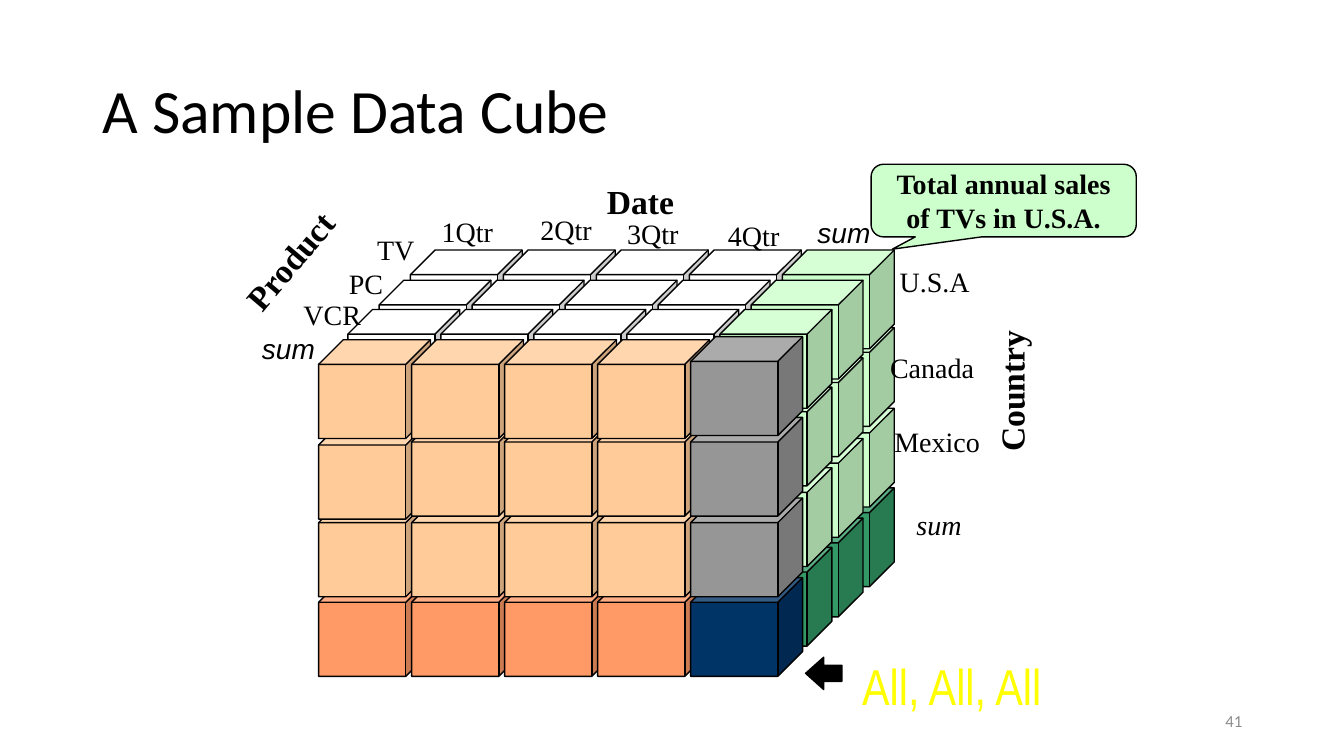
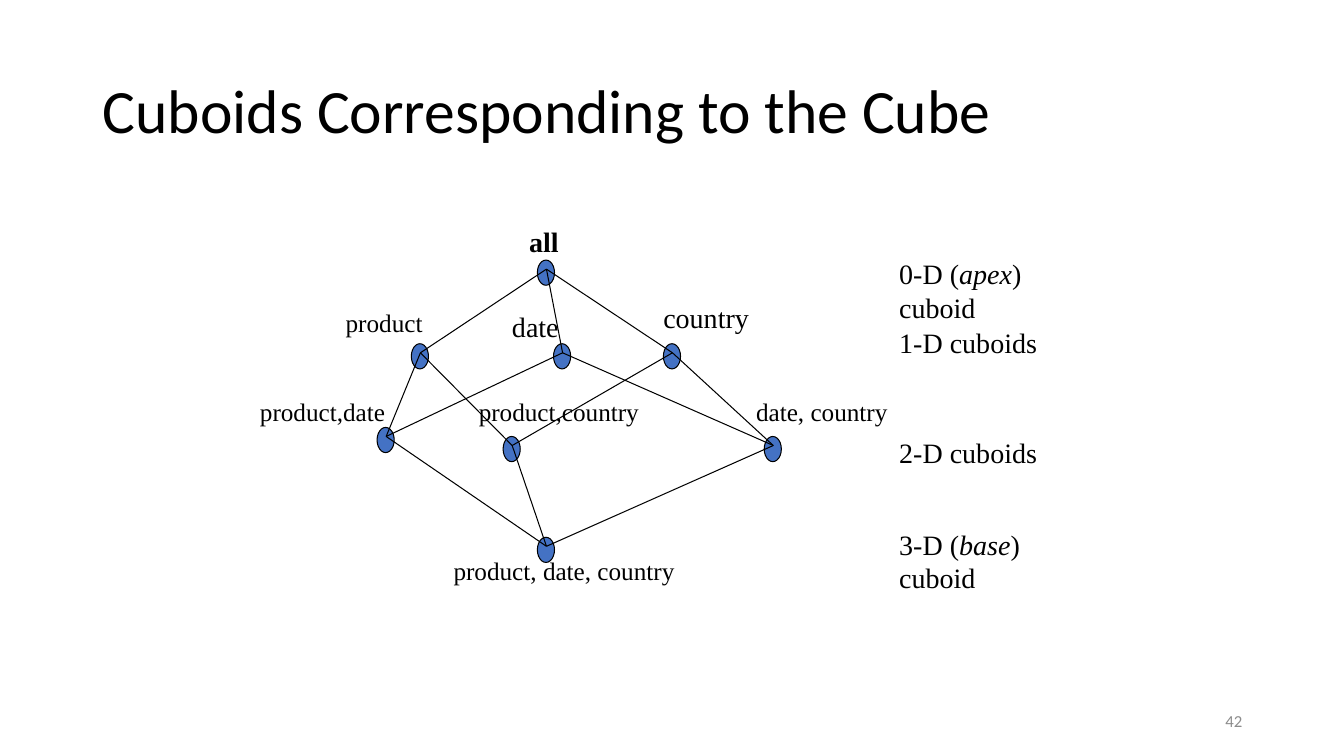
from itertools import product

from lxml import etree
from pptx import Presentation
from pptx import util as u
from pptx.dml.color import RGBColor
from pptx.enum import shapes, text
from pptx.oxml.ns import qn

PX = 9144  # EMU per px, 100 px to the inch
COLORS = {
    "ink": "000000", "footer": "8C8C8C", "yellow": "FFFF00", "node": "4472C4",
    "white": "FFFFFF", "mint": "CCFFCC", "green": "339966",
    "peach": "FFCC99", "orange": "FF9966", "gray": "969696", "navy": "003366",
}
SERIF, SANS, NARROW, BODY = "Times New Roman", "Arial", "Arial Narrow", "Calibri"
SHAPE = shapes.MSO_SHAPE
ALIGN, ANCHOR = text.PP_ALIGN, text.MSO_ANCHOR


def emu(*lengths):
    return [u.Emu(round(n * PX)) for n in lengths]


def rgb(name):
    return RGBColor.from_string(COLORS[name])


def add_run(p, words, size, font=SERIF, color="ink", bold=False, italic=False):
    r = p.add_run()
    r.text = words
    f = r.font
    f.size, f.name, f.bold, f.italic = u.Pt(size), font, bold, italic
    f.color.rgb = rgb(color)


def add_text(s, box, words="", size=20, align=ALIGN.LEFT, anchor=ANCHOR.TOP,
             wrap=True, **style):
    """Add a one-paragraph text box; return the box and its paragraph."""
    sp = s.shapes.add_textbox(*emu(*box))
    tf = sp.text_frame
    tf.word_wrap, tf.vertical_anchor = wrap, anchor
    p = tf.paragraphs[0]
    p.alignment = align
    if words:
        add_run(p, words, size, **style)
    return sp, p


def add_label(s, box, words, size=20, align=ALIGN.LEFT, **style):
    """Add a one-line label, with spare room on its loose sides."""
    sp, _ = add_text(s, box, words, size, align, wrap=False, **style)
    sp.text_frame.margin_right = 0
    if align == ALIGN.CENTER:
        sp.text_frame.margin_left = 0
    return sp


def add_shape(s, kind, box, fill, width=1, adjust=()):
    sp = s.shapes.add_shape(kind, *emu(*box))
    sp.shadow.inherit = False
    sp.fill.solid()
    sp.fill.fore_color.rgb = rgb(fill)
    sp.line.color.rgb = rgb("ink")
    sp.line.width = u.Pt(width)
    for i, value in enumerate(adjust):
        sp.adjustments[i] = value
    return sp


def add_line(s, start, end):
    c = s.shapes.add_connector(shapes.MSO_CONNECTOR.STRAIGHT, *emu(*start, *end))
    c.line.color.rgb = rgb("ink")
    c.line.width = u.Pt(0.75)
    etree.SubElement(c._element.spPr, qn("a:effectLst"))


def add_slide(prs, title, number):
    """Add a blank slide with the shared title and page number."""
    s = prs.slides.add_slide(prs.slide_layouts[6])
    _, p = add_text(s, (92, 40, 1150, 145), title, 44, anchor=ANCHOR.MIDDLE,
                    font=BODY)
    p.line_spacing = 0.9
    add_text(s, (942, 695, 300, 40), str(number), 12, ALIGN.RIGHT, ANCHOR.MIDDLE,
             font=BODY, color="footer")
    return s


def cell_color(layer, row, col):
    is_total, is_bottom = col == 4, row == 3
    if layer == 3:
        pair = ("gray", "navy") if is_total else ("peach", "orange")
    else:
        pair = ("mint", "green") if is_total else ("white", "white")
    return pair[is_bottom]


def cell_stack(s, x, y):
    """Draw the visible cells, from the back layer to the front one."""
    layers = [(91, 0), (60, 30), (29, 59), (0, 89)]
    row_tops = [0, 77, 157, 236]
    col_pitch = 92.25
    nudges = {(3, 1, 0): 3, (3, 0, 4): -3}
    for layer, row, col in product(range(4), reversed(range(4)), range(5)):
        if layer < 3 and row > 0 and col < 4:
            continue
        dx, dy = layers[layer]
        top = y + dy + row_tops[row] + nudges.get((layer, row, col), 0)
        add_shape(s, SHAPE.CUBE, (x + dx + col * col_pitch, top, 111, 98),
                  cell_color(layer, row, col), adjust=[0.25])


def data_cube(s, x, y):
    """Draw the cube with its axis names, member labels and apex mark."""
    axes = [("Date", 372, 0, 87, 0), ("Product", 0, 58, 135, 310.3),
            ("Country", 712, 187, 142, 270)]
    members = [
        ("TV", 144, 51, 57), ("PC", 116, 84, 54), ("VCR", 71, 115, 77),
        ("1Qtr", 208, 33, 71), ("2Qtr", 306, 31, 71),
        ("3Qtr", 392, 35, 71), ("4Qtr", 492, 37, 71),
        ("U.S.A", 662, 82, 90), ("Canada", 653, 168, 103),
        ("Mexico", 657, 241, 105),
    ]
    sums = [(30, 149, 73, SANS), (581, 34, 73, SANS), (679, 324, 65, SERIF)]

    cell_stack(s, x + 96, y + 73)
    for name, dx, dy, w, turn in axes:
        sp = add_label(s, (x + dx, y + dy, w, 50), name, 24, bold=True)
        sp.rotation = turn
    for name, dx, dy, w in members:
        add_label(s, (x + dx, y + dy, w, 43), name, align=ALIGN.CENTER)
    for dx, dy, w, font in sums:
        add_label(s, (x + dx, y + dy, w, 43), "sum", font=font, italic=True)
    add_shape(s, SHAPE.LEFT_ARROW, (x + 579, y + 477, 36, 32), "ink",
              adjust=[0.5, 0.56])
    add_label(s, (x + 619, y + 470, 210, 50), "All, All, All", 36, ALIGN.CENTER,
              font=NARROW, color="yellow")


def callout(s, box, lines):
    sp = add_shape(s, SHAPE.ROUNDED_RECTANGULAR_CALLOUT, box, "mint",
                   adjust=[-0.42, 0.67, 0.17])
    tf = sp.text_frame
    tf.word_wrap, tf.vertical_anchor = False, ANCHOR.MIDDLE
    for i, line in enumerate(lines):
        p = tf.add_paragraph() if i else tf.paragraphs[0]
        p.alignment = ALIGN.CENTER
        add_run(p, line, 20, bold=True)


def cuboid_lattice(s, x, y):
    """Draw the cuboids, joining each to those with one more dimension."""
    # dimensions, node, label, label place, label width, size
    cuboids = [
        ("", (294, 49), "all", (267, 0), 60, 20),
        ("P", (169, 132), "product", (85, 82), 97, 18),
        ("D", (310, 132), "date", (250, 84), 76, 20),
        ("C", (419, 132), "country", (400, 75), 105, 20),
        ("PD", (135, 215), "product,date", (0, 170), 144, 18),
        ("PC", (260, 224), "product,country", (217, 170), 179, 18),
        ("DC", (519, 224), "date, country", (492, 170), 151, 18),
        ("PDC", (294, 324), "product, date, country", (192, 328), 240, 18),
    ]
    nodes = {dims: (x + nx, y + ny) for dims, (nx, ny), *_ in cuboids}
    for nx, ny in nodes.values():
        add_shape(s, SHAPE.FLOWCHART_CONNECTOR, (nx - 9, ny - 9, 17, 25),
                  "node", 0.75)
    for a, b in product(nodes, repeat=2):
        if len(b) == len(a) + 1 and set(a) < set(b):
            add_line(s, nodes[a], nodes[b])
    for dims, _, label, (dx, dy), w, size in cuboids:
        add_label(s, (x + dx, y + dy, w, 43), label, size, bold=not dims)


def level_names(s, x, y):
    levels = [(0, ["0-D (", "apex", ") cuboid"]), (68, ["1-D cuboids"]),
              (177, ["2-D cuboids"]), (268, ["3-D (", "base", ") cuboid"])]
    for dy, parts in levels:
        _, p = add_text(s, (x, y + dy, 170, 43))
        for i, part in enumerate(parts):
            add_run(p, part, 20, italic=i == 1)


def main():
    prs = Presentation()
    prs.slide_width, prs.slide_height = emu(1333, 750)

    s = add_slide(prs, "A Sample Data Cube", 41)
    data_cube(s, 220, 175)
    callout(s, (864, 163, 263, 72), ["Total annual sales", "of TVs in U.S.A."])

    s = add_slide(prs, "Cuboids Corresponding to the Cube", 42)
    cuboid_lattice(s, 248, 218)
    level_names(s, 882, 250)

    prs.save("out.pptx")


if __name__ == "__main__":
    main()
